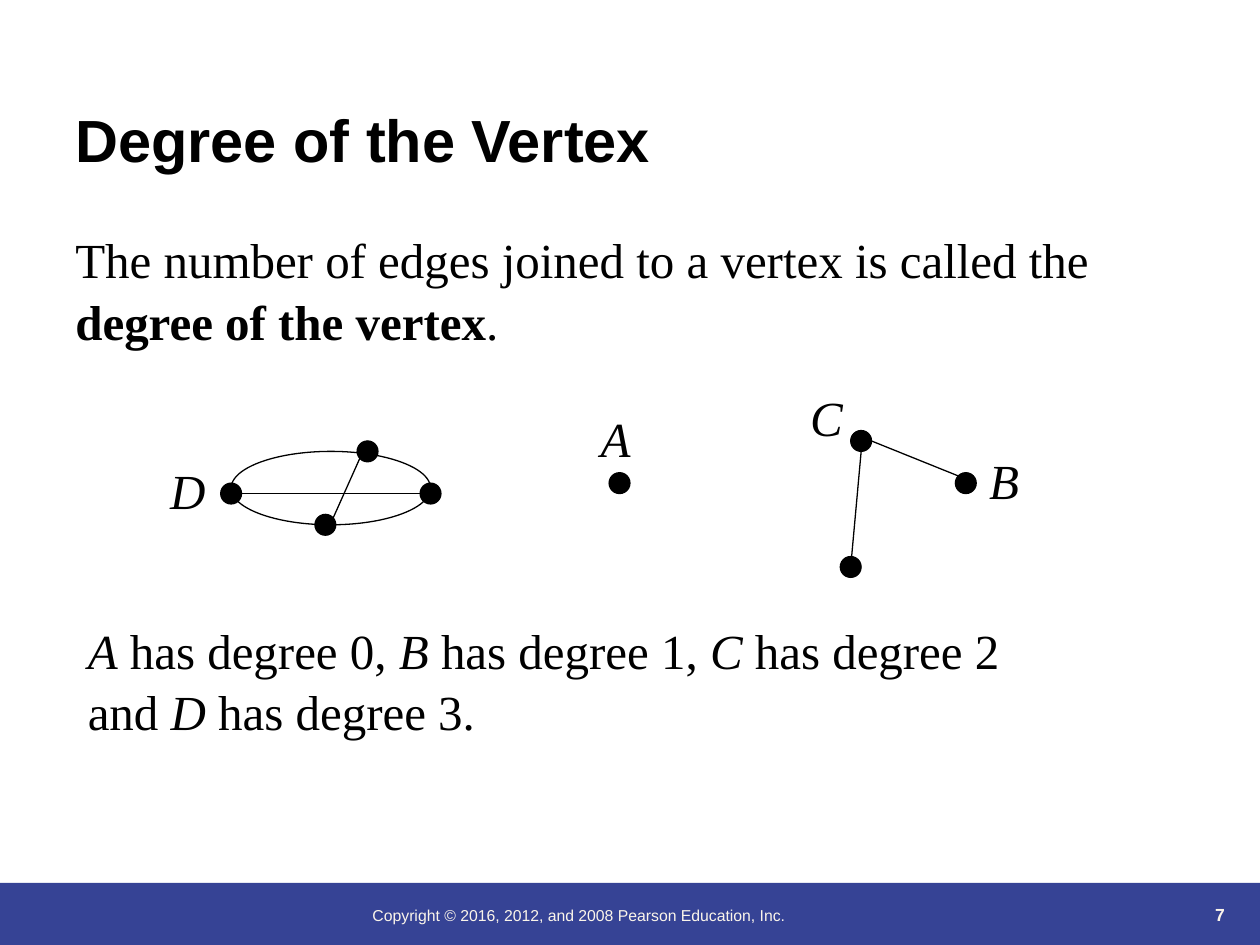
import pptx
import pptx.util
import pptx.dml.color
import pptx.enum.shapes
import pptx.enum.text
import pptx.oxml

Cm, Pt = pptx.util.Cm, pptx.util.Pt
KINDS = pptx.enum.shapes.MSO_SHAPE
ALIGN = pptx.enum.text.PP_ALIGN
ANCHOR = pptx.enum.text.MSO_ANCHOR

BLACK, BLUE, CREAM = "000000", "364395", "FBF5EA"
SANS, SERIF = "Arial", "Times New Roman"
RAD = 0.21  # radius of a vertex, in cm

# Runs are (text, style); style is "", "b" or "i".
TITLE = [("Degree of the Vertex", "b")]
RULE = [
    ("The number of edges joined to a vertex is called the ", ""),
    ("degree of the vertex", "b"),
    (".", ""),
]
ANSWER = [
    ("A", "i"), (" has degree 0, ", ""),
    ("B", "i"), (" has degree 1, ", ""),
    ("C", "i"), (" has degree 2 and ", ""),
    ("D", "i"), (" has degree 3.", ""),
]
RIGHTS = [("Copyright © 2016, 2012, and 2008 Pearson Education, Inc.", "")]
NUMBER = [("7", "b")]

# Centre of each vertex, in cm
DOTS = {
    "A": (12.49, 9.74),
    "B": (19.47, 9.74),
    "C": (17.36, 8.89),
    "D": (4.66, 9.95),
    "low": (17.15, 11.43),
    "top": (7.41, 9.1),
    "base": (6.56, 10.58),
    "east": (8.68, 9.95),
}
# Each end is a vertex and a shift from its centre, in radii.
EDGES = [
    (("low", 0, 0), ("C", 0, 1)),
    (("C", 1, 0), ("B", 1, 0)),
    (("base", 0, 1), ("top", 0, -1)),
    (("D", 0, 0), ("east", -1, 0)),
]
LOOP = (4.66, 9.1, 4.02, 1.48)
LABELS = {
    "A": (11.86, 8.05),
    "B": (19.69, 8.89),
    "C": (16.08, 7.62),
    "D": (3.18, 9.09),
}


def color(code):
    return pptx.dml.color.RGBColor.from_string(code)


def add_runs(frame, runs, size, face, ink, align=ALIGN.LEFT, gap=1.0):
    para = frame.paragraphs[0]
    para.alignment = align
    para.line_spacing = gap
    for text, style in runs:
        run = para.add_run()
        run.text = text
        font = run.font
        font.name, font.size = face, Pt(size)
        font.bold, font.italic = style == "b", style == "i"
        font.color.rgb = color(ink)


def add_box(slide, place, runs, size, face, ink, anchor=ANCHOR.TOP, **more):
    box = slide.shapes.add_textbox(*map(Cm, place))
    box.text_frame.word_wrap = True
    box.text_frame.vertical_anchor = anchor
    add_runs(box.text_frame, runs, size, face, ink, **more)


def add_form(slide, kind, place, fill=None, line=None):
    form = slide.shapes.add_shape(kind, *map(Cm, place))
    form.shadow.inherit = False
    if fill:
        form.fill.solid()
        form.fill.fore_color.rgb = color(fill)
    else:
        form.fill.background()
    if line:
        form.line.color.rgb = color(line)
        form.line.width = Pt(0.75)
    else:
        form.line.fill.background()


def find_end(name, dx, dy):
    x, y = DOTS[name]
    return Cm(x + dx * RAD), Cm(y + dy * RAD)


def add_edge(slide, start, end):
    edge = slide.shapes.add_connector(
        pptx.enum.shapes.MSO_CONNECTOR.STRAIGHT,
        *find_end(*start), *find_end(*end))
    edge.line.color.rgb = color(BLACK)
    edge.line.width = Pt(0.75)
    props = edge._element.spPr
    props.append(pptx.oxml.parse_xml(
        '<a:effectLst xmlns:a='
        '"http://schemas.openxmlformats.org/drawingml/2006/main"/>'))


def add_graph(slide):
    for x, y in DOTS.values():
        place = (x - RAD, y - RAD, 2 * RAD, 2 * RAD)
        add_form(slide, KINDS.OVAL, place, BLACK, BLACK)
    add_form(slide, KINDS.OVAL, LOOP, line=BLACK)
    for start, end in EDGES:
        add_edge(slide, start, end)
    for name, (x, y) in LABELS.items():
        add_box(slide, (x, y, 1.47, 1.45), [(name, "i")],
                28, SERIF, BLACK, gap=1.05)


def main():
    deck = pptx.Presentation()
    deck.slide_width, deck.slide_height = Cm(25.4), Cm(19.05)
    slide = deck.slides.add_slide(deck.slide_layouts[5])

    title = slide.shapes.title
    title.left, title.top = Cm(1.27), Cm(0.46)
    title.width, title.height = Cm(22.86), Cm(3.18)
    title.text_frame.vertical_anchor = ANCHOR.BOTTOM
    add_runs(title.text_frame, TITLE, 34, SANS, BLACK)

    add_form(slide, KINDS.RECTANGLE, (0, 17.8, 25.4, 1.25), BLUE)
    add_box(slide, (7.26, 18.14, 12.5, 0.9), RIGHTS, 9, SANS, CREAM)
    add_box(slide, (22.6, 17.5, 2.34, 1.27), NUMBER, 10, SANS, CREAM,
            anchor=ANCHOR.BOTTOM, align=ALIGN.RIGHT)

    add_box(slide, (1.27, 4.45, 21.59, 2.64), RULE,
            28, SERIF, BLACK, gap=1.05)
    add_graph(slide)
    add_box(slide, (1.52, 12.32, 19.05, 2.64), ANSWER,
            28, SERIF, BLACK, gap=1.05)
    deck.save("out.pptx")


if __name__ == "__main__":
    main()
